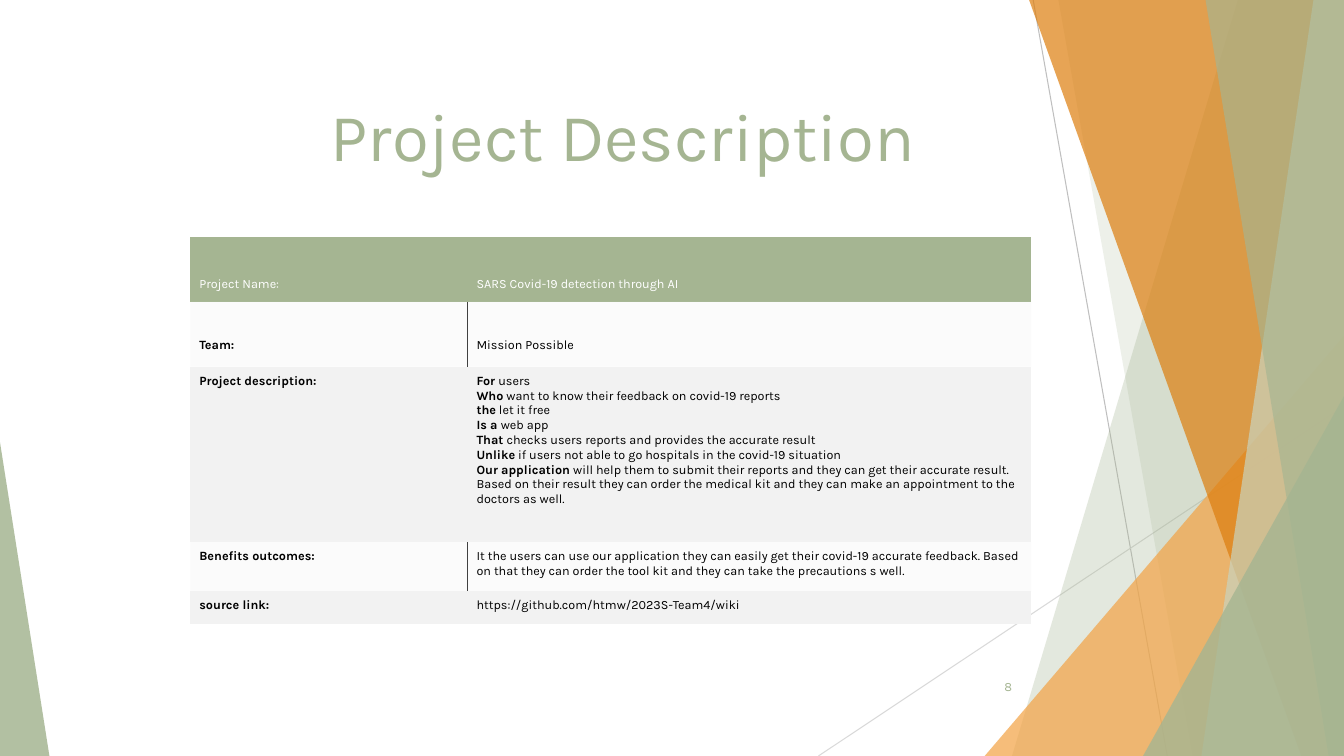
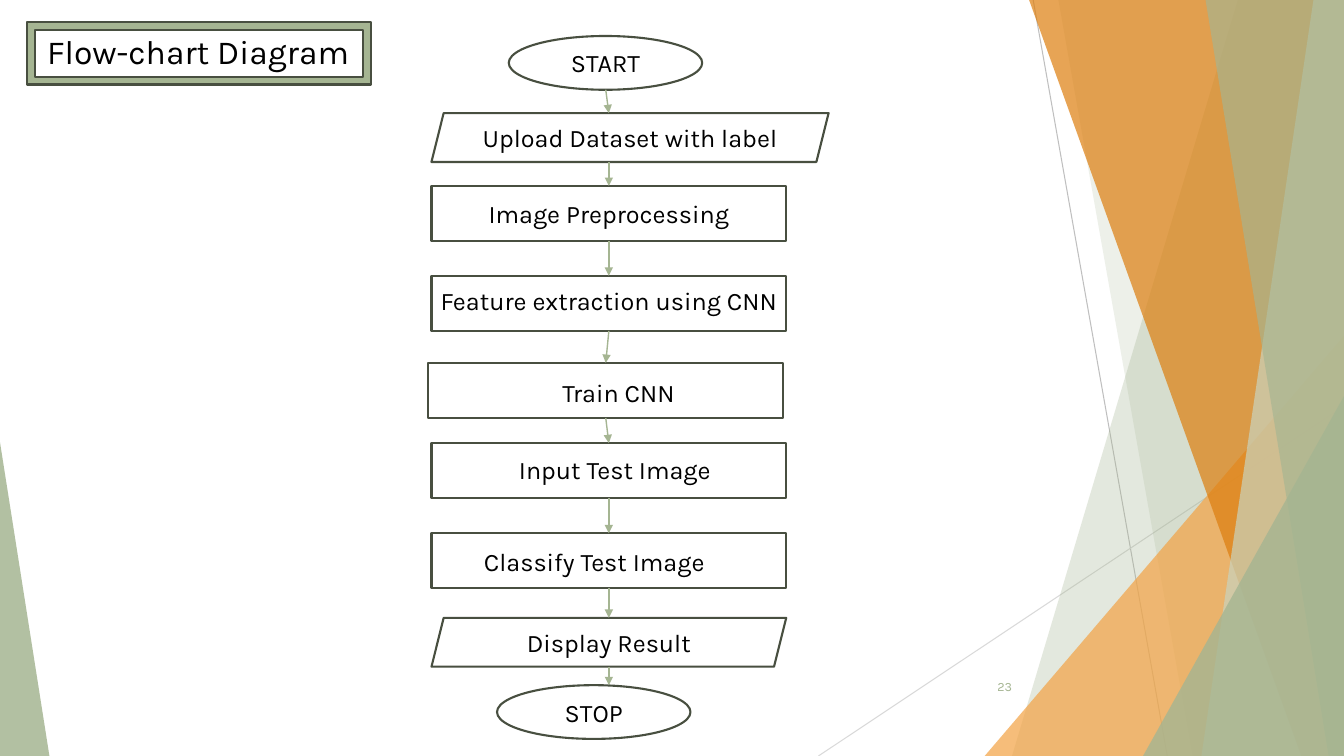
import pptx
import pptx.dml.color
import pptx.enum.shapes
import pptx.enum.text
import pptx.oxml.ns
import pptx.util
import lxml.etree

Pt = pptx.util.Pt
qn = pptx.oxml.ns.qn
SHAPE = pptx.enum.shapes.MSO_SHAPE
STRAIGHT = pptx.enum.shapes.MSO_CONNECTOR.STRAIGHT
ALIGN = pptx.enum.text.PP_ALIGN
ANCHOR = pptx.enum.text.MSO_ANCHOR

SAGE = "A5B592"
OLIVE = "484F40"
WHITE = "FFFFFF"
BLACK = "000000"
GREY = "F2F2F2"
WIDTH, HEIGHT = 960, 540


def paint(fill, colour, opacity=100):
    fill.solid()
    fill.fore_color.rgb = pptx.dml.color.RGBColor.from_string(colour)
    if opacity < 100:
        tone = fill._xPr.find(qn("a:solidFill"))[0]
        lxml.etree.SubElement(tone, qn("a:alpha"), val=str(opacity * 1000))


def write(para, text, size, colour, bold=False):
    span = para.add_run()
    span.text = text
    span.font.name = "Karla"
    span.font.size = Pt(size)
    span.font.bold = bold
    paint(span.font.fill, colour)


deck = pptx.Presentation()
deck.slide_width, deck.slide_height = Pt(WIDTH), Pt(HEIGHT)
title_only = deck.slide_layouts[5]
project_page = deck.slides.add_slide(title_only)
flow_page = deck.slides.add_slide(title_only)

decoration = []
for x1, y1, x2, y2, colour in [
    (738, 0, 833.8, HEIGHT, "BFBFBF"),
    (WIDTH, 290, 584.6, HEIGHT, "D9D9D9"),
]:
    line = project_page.shapes.add_connector(STRAIGHT, Pt(x1), Pt(y1), Pt(x2), Pt(y2))
    paint(line.line.fill, colour)
    line.line.width = Pt(0.75)
    decoration.append(line)

for kind, colour, opacity, place in [
    ("band", SAGE, 30, (884.2, 722.9)),
    ("band", SAGE, 20, (756, 851.8)),
    ("triangle", "F3A447", 72, (703.4, 239.8, 256.6, 1)),
    ("band", "DD7E0E", 70, (735.1, 929.5)),
    ("band", "C9D3BE", 70, (938.2, 858.2)),
    ("band", SAGE, 65, (861.1, 949)),
    ("triangle", SAGE, 80, (816.5, 283, 143.5, 1)),
    ("triangle", SAGE, 85, (0, 316, 35.3, 0)),
]:
    if kind == "band":
        top_x, foot_x = place
        outline = project_page.shapes.build_freeform(Pt(top_x), 0)
        corners = [(WIDTH, 0), (WIDTH, HEIGHT), (foot_x, HEIGHT)]
        outline.add_line_segments([(Pt(x), Pt(y)) for x, y in corners], close=True)
        shape = outline.convert_to_shape()
    else:
        left, top, width, apex = place
        shape = project_page.shapes.add_shape(
            SHAPE.ISOSCELES_TRIANGLE, Pt(left), Pt(top), Pt(width), Pt(HEIGHT - top))
        shape.adjustments[0] = apex
    shape.shadow.inherit = False
    shape.line.fill.background()
    paint(shape.fill, colour, opacity)
    decoration.append(shape)

master_tree = deck.slide_master.element.cSld.spTree
for index, shape in enumerate(decoration):
    shape.element.xpath(".//p:cNvPr")[0].set("id", str(100 + index))
    master_tree.insert(2 + index, shape.element)

frame_place = (19.4, 15.8, 245.5, 44.6)
for page, text, place, size, colour, inset, anchor, align, number in [
    (project_page, "Project Description", (121, 43.2, 604, 85.7), 48, SAGE, 115.2,
     ANCHOR.BOTTOM, ALIGN.LEFT, "8"),
    (flow_page, "Flow-chart Diagram", (18.7, 14.4, 245.5, 44.6), 24, BLACK, 7.2,
     ANCHOR.MIDDLE, ALIGN.CENTER, "23"),
]:
    title = page.shapes.title
    title.left, title.top, title.width, title.height = map(Pt, place)
    title.text_frame.auto_size = pptx.enum.text.MSO_AUTO_SIZE.NONE
    title.text_frame.vertical_anchor = anchor
    title.text_frame.margin_left = Pt(inset)
    para = title.text_frame.paragraphs[0]
    para.alignment = align
    write(para, text, size, colour)

    box = page.shapes.add_textbox(Pt(676), Pt(476), Pt(54), Pt(28.8))
    box.text_frame.word_wrap = True
    box.text_frame.vertical_anchor = ANCHOR.MIDDLE
    para = box.text_frame.paragraphs[0]
    para.alignment = ALIGN.RIGHT
    write(para, number, 9, SAGE)

description = [
    ("For ", "users"),
    ("Who", " want to know their feedback on covid-19 reports"),
    ("the", " let it free"),
    ("Is a ", "web app"),
    ("That ", "checks users reports and provides the accurate result"),
    ("Unlike", " if users not able to go hospitals in the covid-19 situation"),
    ("Our application ", "will help them to submit their reports and they can get their "
     "accurate result. Based on their result they can order the medical kit and they can "
     "make an appointment to the doctors as well."),
]
benefits = ("It the users can use our application they can easily get their covid-19 accurate "
            "feedback. Based on that they can order the tool kit and they can take the "
            "precautions s well.")
table_rows = [
    (46.4, 28.3, SAGE, 100, "Project Name:", [("", "SARS Covid-19 detection through AI")]),
    (46.4, 25.6, GREY, 30, "Team:", [("", "Mission Possible")]),
    (125.3, 5, GREY, 100, "Project description:", description),
    (35, 5, GREY, 30, "Benefits outcomes:", [("", benefits)]),
    (23.8, 5, GREY, 100, "source link:", [("", "https://github.com/htmw/2023S-Team4/wiki")]),
]
table = project_page.shapes.add_table(
    len(table_rows), 2, Pt(136), Pt(169.2), Pt(600.5), Pt(276.9)).table
table.first_row = table.horz_banding = False
table._tbl.tblPr.find(qn("a:tableStyleId")).text = "{2D5ABB26-0587-4C30-8999-92F81FD0307C}"
table.columns[0].width, table.columns[1].width = Pt(198), Pt(402.5)

for row, (height, inset, colour, opacity, label, entries) in enumerate(table_rows):
    table.rows[row].height = Pt(height)
    ink = WHITE if row == 0 else BLACK
    label_entry = ("", label) if row == 0 else (label, "")
    for column, (lines, edge) in enumerate([([label_entry], "a:lnR"), (entries, "a:lnL")]):
        cell = table.cell(row, column)
        cell.margin_left, cell.margin_top = Pt(6.4), Pt(inset)
        cell.margin_right = cell.margin_bottom = Pt(5)
        paint(cell.fill, colour, opacity)
        if opacity < 100:
            border = lxml.etree.Element(qn(edge), w=str(Pt(0.5)))
            solid = lxml.etree.SubElement(border, qn("a:solidFill"))
            lxml.etree.SubElement(solid, qn("a:srgbClr"), val="404040")
            cell._tc.get_or_add_tcPr().insert(0, border)
        for index, (strong, plain) in enumerate(lines):
            frame = cell.text_frame
            para = frame.add_paragraph() if index else frame.paragraphs[0]
            for text, bold in [(strong, True), (plain, False)]:
                if text:
                    write(para, text, 9, ink, bold)

frame = flow_page.shapes.add_shape(SHAPE.FRAME, *map(Pt, frame_place))
frame.shadow.inherit = False
paint(frame.fill, SAGE)
paint(frame.line.fill, OLIVE)
frame.line.width = Pt(1.5)

sizes = {SHAPE.OVAL: (138.2, 38.4), SHAPE.PARALLELOGRAM: (253.4, 34.9),
         SHAPE.RECTANGLE: (253.4, 39.4)}
steps = [
    (SHAPE.OVAL, 363.4, 25.7, 0, "START", 0, 0, 432.7),
    (SHAPE.PARALLELOGRAM, 308.2, 80.8, 30.3, "Upload Dataset with label", 0, 0, 434.9),
    (SHAPE.RECTANGLE, 308.2, 132.8, 0, "Image Preprocessing", 0, 0, 434.9),
    (SHAPE.RECTANGLE, 308.2, 197, 0, "Feature extraction using CNN", 0, -2, 434.9),
    (SHAPE.RECTANGLE, 305.8, 259.2, 0, "Train CNN", 9.3, 1.3, 432.7),
    (SHAPE.RECTANGLE, 308.2, 316.5, 0, "Input Test Image", 4.3, -1, 434.9),
    (SHAPE.RECTANGLE, 308.2, 380.9, 0, "Classify Test Image", -10.4, 0.4, 434.9),
    (SHAPE.PARALLELOGRAM, 308.2, 441.3, 0, "Display Result", 0, 0, 434.9),
    (SHAPE.OVAL, 355, 489.4, 0, "STOP", 0, 0, 434.9),
]
previous = None
for kind, left, top, extra, text, shift, drop, joint in steps:
    width, height = sizes[kind]
    step = flow_page.shapes.add_shape(kind, Pt(left), Pt(top), Pt(width + extra), Pt(height))
    step.shadow.inherit = False
    paint(step.fill, WHITE)
    paint(step.line.fill, OLIVE)
    step.line.width = Pt(1.5)
    words = step.text_frame
    words.word_wrap = True
    words.vertical_anchor = ANCHOR.MIDDLE
    words.margin_left, words.margin_right = Pt(max(0, 2 * shift)), Pt(max(0, -2 * shift))
    words.margin_top, words.margin_bottom = Pt(max(0, 2 * drop)), Pt(max(0, -2 * drop))
    para = words.paragraphs[0]
    para.alignment = ALIGN.CENTER
    write(para, text, 18, BLACK)
    if previous:
        arrow = flow_page.shapes.add_connector(STRAIGHT, *map(Pt, previous), Pt(joint), Pt(top))
        paint(arrow.line.fill, SAGE)
        arrow.line.width = Pt(1)
        lxml.etree.SubElement(arrow.line._get_or_add_ln(), qn("a:tailEnd"), type="triangle")
    previous = (joint, top + height)

for holder in (deck.slide_master, flow_page):
    for connector in holder.element.iter(qn("p:cxnSp")):
        lxml.etree.SubElement(connector.spPr, qn("a:effectLst"))

deck.save("out.pptx")
